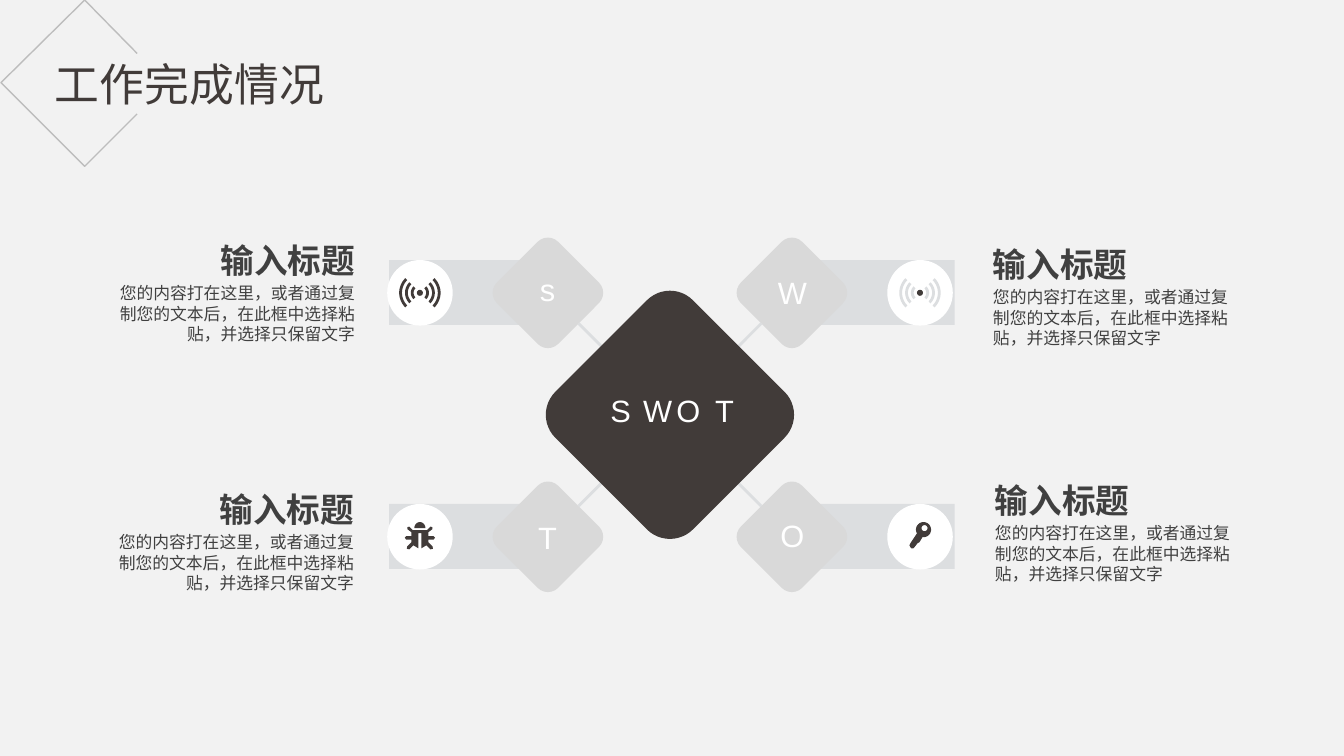
import math

import pptx
import pptx.dml.color
import pptx.enum.shapes
import pptx.enum.text
import pptx.oxml.ns
import pptx.util
from lxml import etree

COLORS = {
    "paper": "F2F2F2", "bar": "DCDEE0", "diamond": "D9D9D9", "dark": "413B39",
    "white": "FFFFFF", "body": "404040", "corner": "808080",
}
CJK = "Noto Sans CJK SC"
CELL = pptx.util.Inches(0.1)
SHAPE = pptx.enum.shapes.MSO_SHAPE
ALIGN = pptx.enum.text.PP_ALIGN
ANCHOR = pptx.enum.text.MSO_ANCHOR
qn = pptx.oxml.ns.qn

deck = pptx.Presentation()
deck.slide_width = round(133.3 * CELL)
deck.slide_height = 75 * CELL
slide = deck.slides.add_slide(deck.slide_layouts[5])
slide.background.fill.solid()
slide.background.fill.fore_color.rgb = pptx.dml.color.RGBColor.from_string(COLORS["paper"])


def write(text, box, size, color, font=CJK, align=ALIGN.LEFT, bold=False,
          anchor=ANCHOR.TOP, wrap=True, spacing=None, before=None, holder=None):
    area = [round(v * CELL) for v in box]
    holder = holder or slide.shapes.add_textbox(*area)
    holder.left, holder.top, holder.width, holder.height = area
    frame = holder.text_frame
    frame.auto_size = pptx.enum.text.MSO_AUTO_SIZE.NONE
    frame.word_wrap = wrap
    frame.vertical_anchor = anchor
    paragraph = frame.paragraphs[0]
    paragraph.alignment = align
    paragraph.line_spacing = spacing
    paragraph.space_before = before
    run = paragraph.add_run()
    run.text = text
    run.font.size = pptx.util.Pt(size)
    run.font.bold = bold
    run.font.name = font
    run.font.color.rgb = pptx.dml.color.RGBColor.from_string(COLORS[color])
    etree.SubElement(run._r.get_or_add_rPr(), qn("a:ea"), typeface=CJK)


def draw(color, box=None, kind=None, center=(0, 0), contours=(), rotation=0, outline=False):
    if kind is not None:
        shape = slide.shapes.add_shape(kind, *[round(v * CELL) for v in box])
    else:
        scaled = [[(x * CELL / 20, y * CELL / 20) for x, y in points] for points in contours]
        builder = slide.shapes.build_freeform(*scaled[0][0], scale=1.0)
        builder.add_line_segments(scaled[0][1:], close=not outline)
        for points in scaled[1:]:
            builder.move_to(*points[0])
            builder.add_line_segments(points[1:], close=True)
        shape = builder.convert_to_shape(*[round(v * CELL) for v in center])
    shape.shadow.inherit = False
    shape.rotation = rotation
    paint = shape.line.fill if outline else shape.fill
    (shape.fill if outline else shape.line.fill).background()
    paint.solid()
    paint.fore_color.rgb = pptx.dml.color.RGBColor.from_string(COLORS[color])
    return shape


MID_X, MID_Y = 66.45, 41.15
REACH = 12.1
DISC_REACH = 24.8
DISC = 6.5

arms = [
    {"letter": "S", "side": -1, "row": -1, "site": 2, "shown": "s",
     "label": (51.5, 27.3), "edge": 36.2, "top": 23.3, "icon": "waves", "waves": "dark"},
    {"letter": "W", "side": 1, "row": -1, "site": 1, "shown": "W",
     "label": (75.8, 27.6), "edge": 97.5, "top": 23.7, "icon": "waves", "waves": "bar"},
    {"letter": "O", "side": 1, "row": 1, "site": 0, "shown": "O",
     "label": (75.8, 51.7), "edge": 97.7, "top": 47.1, "icon": "key"},
    {"letter": "T", "side": -1, "row": 1, "site": 3, "shown": "T",
     "label": (51.5, 51.9), "edge": 36.1, "top": 48, "icon": "bug"},
]

bug_half = [(3, -7), (3, 23), (13, 17), (21, 25), (26, 24), (25, 19), (17, 11), (17, 6), (27, 6),
            (30, 2), (27, -1), (17, -1), (17, -9), (25, -15), (25, -19), (21, -20), (14, -13), (0, -13)]
bug_body = bug_half + [(-x, y) for x, y in reversed(bug_half)]
bug_head = [(11 * math.cos(math.radians(a)), -17 + 12 * math.sin(math.radians(a)))
            for a in range(180, 361, 10)]
key_outline = [(7 + 15 * math.cos(math.radians(a)), -14 + 15 * math.sin(math.radians(a)))
               for a in range(150, 459, 11)]
key_outline += [(-1, 11), (-5, 13), (-11, 21), (-13, 23), (-17, 23), (-19, 21), (-21, 17), (-19, 13)]
key_hole = [(9 + 6 * math.cos(math.radians(a)), -17 + 6 * math.sin(math.radians(a)))
            for a in range(360, 0, -15)]
icons = {"bug": [bug_body, bug_head], "key": [key_outline, key_hole]}

for arm in arms:
    bar_left = 38.6 if arm["side"] < 0 else 78.6
    draw("bar", (bar_left, MID_Y + arm["row"] * REACH - 3.25, 16.1, 6.45), SHAPE.RECTANGLE)

for arm in arms:
    center = MID_X + arm["side"] * DISC_REACH, MID_Y + arm["row"] * REACH
    draw("white", (center[0] - DISC / 2, center[1] - DISC / 2, DISC, DISC), SHAPE.OVAL)
    if arm["icon"] != "waves":
        draw("dark", center=center, contours=icons[arm["icon"]])
        continue
    draw("dark", (center[0] - 0.3, center[1] - 0.3, 0.6, 0.6), SHAPE.OVAL)
    for facing in (0, 180):
        for radius in (18, 29.5, 41):
            sweep = [math.radians(facing + a) for a in range(-45, 46, 5)]
            outer = [(radius * math.cos(a), radius * math.sin(a)) for a in sweep]
            inner = [((radius - 5.5) * math.cos(a), (radius - 5.5) * math.sin(a))
                     for a in reversed(sweep)]
            draw(arm["waves"], center=center, contours=[outer + inner])

letter_format = dict(size=22, color="white", font="Arial", align=ALIGN.CENTER,
                     anchor=ANCHOR.MIDDLE, spacing=0.9, before=pptx.util.Pt(10))
for arm in arms:
    x, y = MID_X + arm["side"] * REACH, MID_Y + arm["row"] * REACH
    diamond = draw("diamond", (x - 4.3, y - 4.3, 8.6, 8.6), SHAPE.ROUNDED_RECTANGLE, rotation=315)
    ends = [round((mid + sign * reach) * CELL) for reach in (4.55, 9.06)
            for mid, sign in ((MID_X, arm["side"]), (MID_Y, arm["row"]))]
    link = slide.shapes.add_connector(pptx.enum.shapes.MSO_CONNECTOR.STRAIGHT, *ends)
    link.end_connect(diamond, arm["site"])
    link.end_x, link.end_y = ends[2:]
    link.line.width = pptx.util.Pt(2)
    link.line.color.rgb = pptx.dml.color.RGBColor.from_string(COLORS["bar"])
    etree.SubElement(link._element.spPr, qn("a:effectLst"))
    write(arm["shown"], (*arm["label"], 5.6, 3.2), **letter_format)

draw("dark", (MID_X - 9.65, MID_Y - 9.65, 19.3, 19.3), SHAPE.ROUNDED_RECTANGLE, rotation=315)
for letter, left in zip("SWOT", (59.4, 62.8, 66.1, 69.7)):
    write(letter, (left, 39.3, 4.3, 3.2), **letter_format)

for arm in arms:
    on_left = arm["side"] < 0
    align = ALIGN.RIGHT if on_left else ALIGN.LEFT
    write("输入标题", (arm["edge"] - 15.5 * on_left, arm["top"], 15.5, 5), 24, "body",
          align=align, bold=True, wrap=False)
    write("您的内容打在这里，或者通过复制您的文本后，在此框中选择粘贴，并选择只保留文字",
          (arm["edge"] - 26.5 * on_left, arm["top"] + 4.3, 26.5, 7.1), 12, "body",
          font="Calibri", align=align)

write("工作完成情况", (3.7, 5.1, 30.2, 6.4), 32, "dark", align=ALIGN.CENTER,
      holder=slide.shapes.title)

corner = draw("corner", contours=[[(272, 106), (168, 0), (2, 164), (168, 330), (272, 226)]],
              outline=True)
corner.line.width = pptx.util.Pt(1)
corner_color = corner.line._ln.find(".//" + qn("a:srgbClr"))
etree.SubElement(corner_color, qn("a:alpha"), val="45000")

deck.save("out.pptx")
